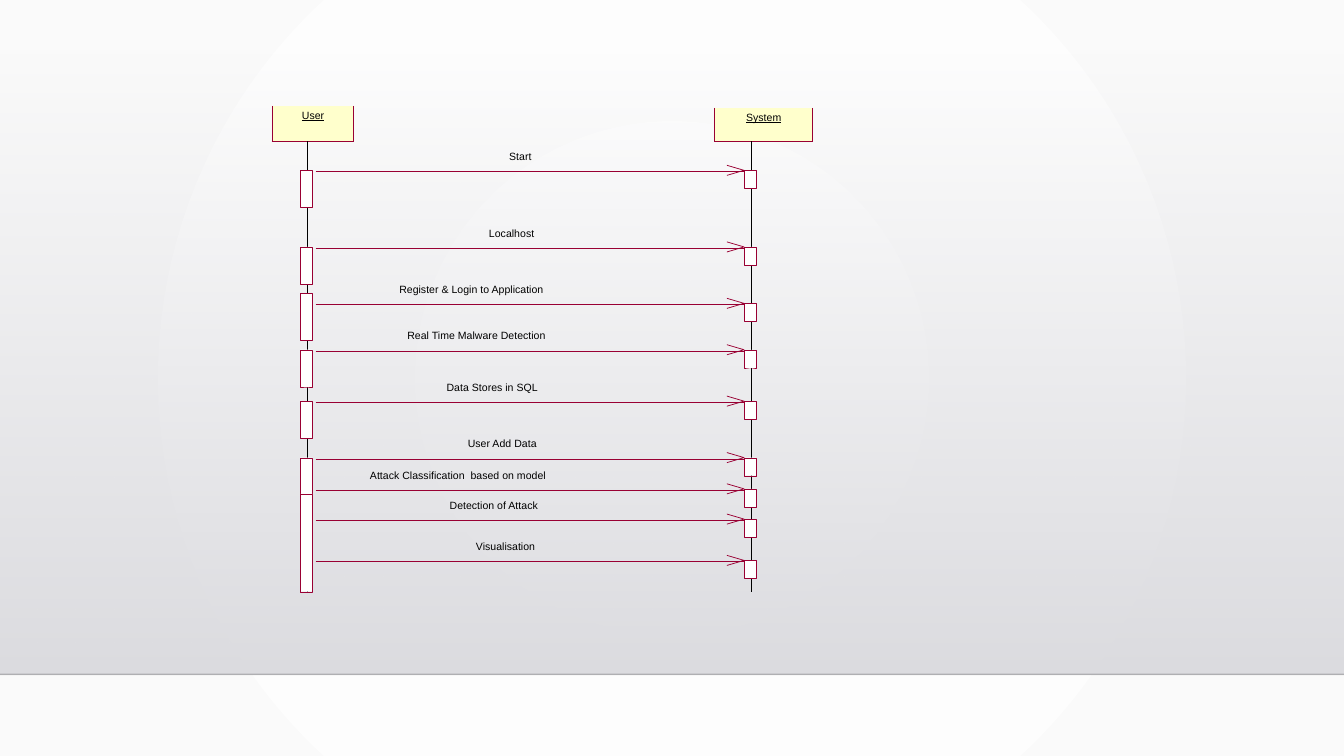
from lxml.etree import SubElement
from pptx import Presentation
from pptx.dml.color import RGBColor
from pptx.enum.shapes import MSO_CONNECTOR, MSO_SHAPE
from pptx.enum.text import PP_ALIGN
from pptx.oxml.ns import qn
from pptx.util import Pt

PX = 9144  # EMU per px, 100 px to the inch
WIDTH, HEIGHT = 1333, 750
BLACK = RGBColor(0x00, 0x00, 0x00)
WHITE = RGBColor(0xFF, 0xFF, 0xFF)
OFF_WHITE = RGBColor(0xFA, 0xFA, 0xFA)
PANEL_TOP = RGBColor(0xDC, 0xDC, 0xE0)
PANEL_BOTTOM = RGBColor(0xDE, 0xDE, 0xE2)
CRIMSON = RGBColor(0x99, 0x00, 0x33)
CREAM = RGBColor(0xFF, 0xFF, 0xCC)

BAR_WIDTH = 12
USER_BAR_LEFT, SYSTEM_BAR_LEFT = 298, 738
LIFELINE_TOP, LIFELINE_BOTTOM = 140, 587
SYSTEM_BAR_HEIGHT = 18

# Name, left, top, width, height, lifeline x
PARTICIPANTS = [
    ("User", 270, 105, 81, 35, 305),
    ("System", 709, 107, 97, 33, 745),
]
# Top and height of each activation of the user
USER_BARS = [(169, 37), (245, 37), (291, 47), (347, 37), (398, 37), (454, 68), (490, 97)]
# Label, its left and width, arrival y at the system
MESSAGES = [
    ("Start", 505, 53, 169),
    ("Localhost", 485, 106, 245),
    ("Register & Login to Application", 396, 342, 301),
    ("Real Time Malware Detection", 404, 323, 347),
    ("Data Stores in SQL", 443, 216, 398),
    ("User Add Data", 464, 163, 454),
    ("Attack Classification  based on model", 367, 417, 485),
    ("Detection of Attack", 446, 210, 515),
    ("Visualisation", 472, 142, 556),
]

presentation = Presentation()
presentation.slide_width = WIDTH * PX
presentation.slide_height = HEIGHT * PX
slide = presentation.slides.add_slide(presentation.slide_layouts[6])
shapes = slide.shapes


def add_line(x1, y1, x2, y2, color, points):
    line = shapes.add_connector(MSO_CONNECTOR.STRAIGHT, x1 * PX, y1 * PX, x2 * PX, y2 * PX)
    line.line.color.rgb = color
    line.line.width = Pt(points)
    SubElement(line.element.spPr, qn("a:effectLst"))
    return line


def format_text(paragraph, underline=False):
    paragraph.line_spacing = 1.07
    font = paragraph.runs[0].font
    font.name, font.size, font.underline = "Arial", Pt(7.5), underline
    font.color.rgb = BLACK


# Background: soft radial gradient
background_fill = slide.background.fill
background_fill.gradient()
for stop, color in zip(background_fill.gradient_stops, (WHITE, OFF_WHITE)):
    stop.color.rgb = color
gradient = slide.element.find(".//" + qn("a:gradFill"))
gradient.remove(gradient.find(qn("a:lin")))
radial = SubElement(gradient, qn("a:path"), path="circle")
SubElement(radial, qn("a:fillToRect"), l="50000", t="50000", r="50000", b="50000")

# Panel fading in downwards, with a faint floor line
panel = shapes.add_shape(MSO_SHAPE.RECTANGLE, 0, 51 * PX, WIDTH * PX, 618 * PX)
panel.shadow.inherit = False
panel.line.fill.background()
panel.fill.gradient()
panel.fill.gradient_angle = 270
for stop, color in zip(panel.fill.gradient_stops, (PANEL_TOP, PANEL_BOTTOM)):
    stop.color.rgb = color
SubElement(panel.element.find(".//" + qn("a:srgbClr")), qn("a:alpha"), val="0")
floor = add_line(0, 669, WIDTH, 669, BLACK, 1)
SubElement(floor.element.find(".//" + qn("a:srgbClr")), qn("a:alpha"), val="20000")

# Participant headers and lifelines
for name, left, top, width, height, lifeline in PARTICIPANTS:
    table = shapes.add_table(1, 1, left * PX, top * PX, width * PX, height * PX).table
    table.first_row = table.horz_banding = False
    cell = table.cell(0, 0)
    cell.margin_left = cell.margin_right = 8 * PX
    cell.margin_top, cell.margin_bottom = 3 * PX, 0
    cell.text_frame.text = name
    paragraph = cell.text_frame.paragraphs[0]
    paragraph.alignment = PP_ALIGN.CENTER
    format_text(paragraph, underline=True)
    properties = cell._tc.get_or_add_tcPr()
    for side in ("lnL", "lnR", "lnT", "lnB"):
        border = SubElement(properties, qn("a:" + side), w=str(Pt(1)))
        if side == "lnT":
            SubElement(border, qn("a:noFill"))
        else:
            solid = SubElement(border, qn("a:solidFill"))
            SubElement(solid, qn("a:srgbClr"), val=str(CRIMSON))
    cell.fill.solid()
    cell.fill.fore_color.rgb = CREAM
    add_line(lifeline, LIFELINE_TOP, lifeline, LIFELINE_BOTTOM, BLACK, 0.08)

# Activation bars
bars = [(USER_BAR_LEFT, top, height) for top, height in USER_BARS]
bars += [(SYSTEM_BAR_LEFT, message[3], SYSTEM_BAR_HEIGHT) for message in MESSAGES]
for left, top, height in bars:
    bar = shapes.add_shape(MSO_SHAPE.RECTANGLE, left * PX, top * PX, BAR_WIDTH * PX, height * PX)
    bar.shadow.inherit = False
    bar.fill.solid()
    bar.fill.fore_color.rgb = WHITE
    bar.line.color.rgb = CRIMSON
    bar.line.width = Pt(0.18)

# Messages: line, open arrowhead and label
for label, left, width, y in MESSAGES:
    add_line(313, y + 1, SYSTEM_BAR_LEFT, y + 1, CRIMSON, 0.18)

    builder = shapes.build_freeform(721, y - 5, scale=PX)
    builder.add_line_segments([(SYSTEM_BAR_LEFT, y), (721, y + 5)], close=False)
    head = builder.convert_to_shape()
    head.shadow.inherit = False
    head.fill.background()
    head.line.color.rgb = CRIMSON
    head.line.width = Pt(0.54)

    text_frame = shapes.add_textbox(left * PX, (y - 21) * PX, width * PX, 19 * PX).text_frame
    text_frame.word_wrap = True
    text_frame.margin_left = text_frame.margin_right = 0
    text_frame.margin_top = text_frame.margin_bottom = 0
    text_frame.text = label
    format_text(text_frame.paragraphs[0])

presentation.save("out.pptx")
